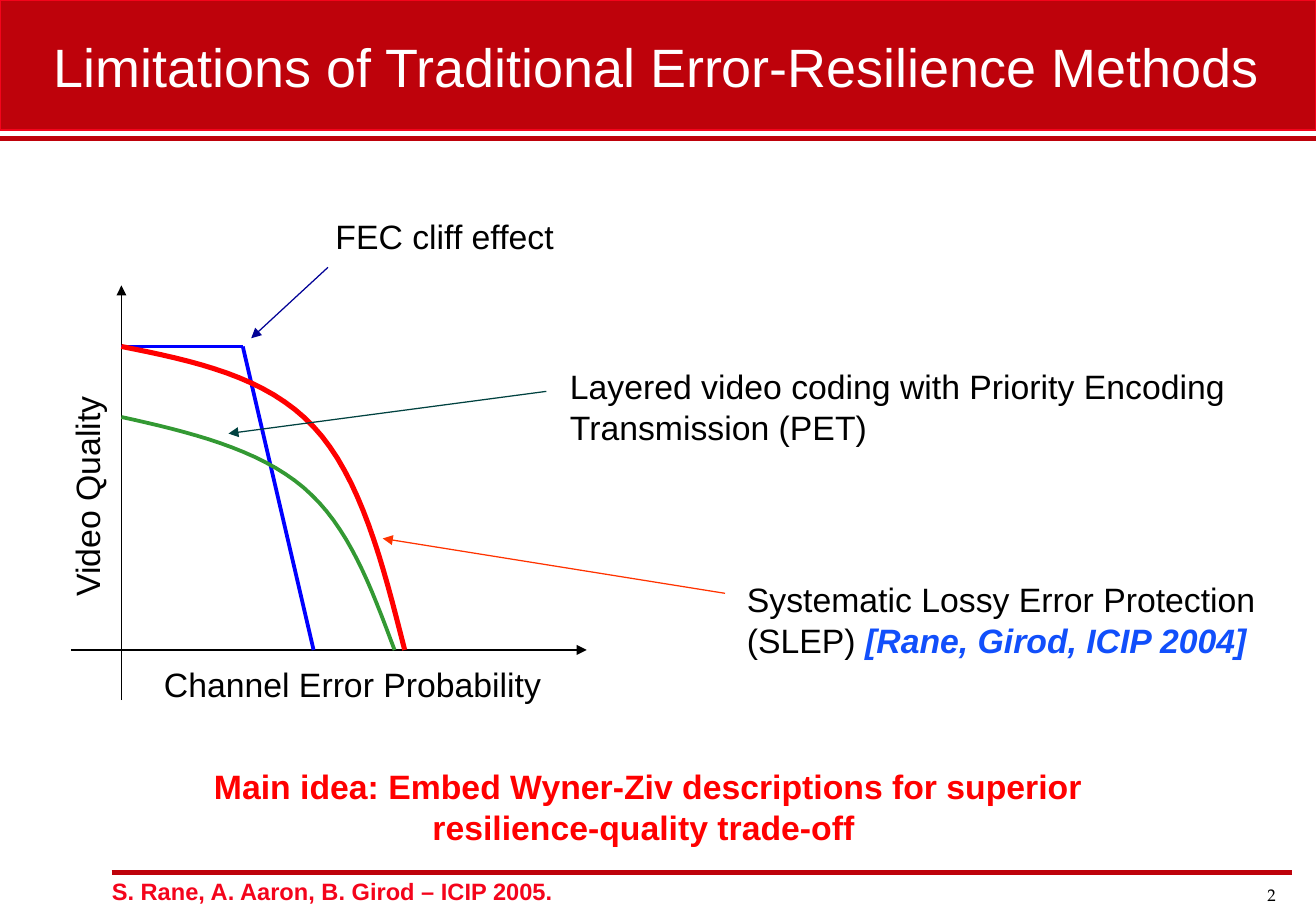
import pptx
import pptx.util
import pptx.dml.color
import pptx.enum.shapes
import pptx.enum.text
import pptx.oxml.ns
import lxml.etree

Pt = pptx.util.Pt
ALIGN = pptx.enum.text.PP_ALIGN
KIND = pptx.enum.shapes

WIDE, HIGH = 780.48, 540
LEFT, BASE = 72, 385.3  # where the axes cross
PEAK = 205.4            # best video quality

HUES = {
    "band": "BE020B", "edge": "F4041B", "white": "FFFFFF", "black": "000000",
    "fec": "0000FF", "fec_tip": "020296", "pet": "339933", "pet_tip": "004240",
    "slep": "FF0000", "slep_tip": "FF3300", "cite": "114FFB",
}


def hue(name):
    return pptx.dml.color.RGBColor.from_string(HUES[name])


def add_sub(node, tag, **attrs):
    return lxml.etree.SubElement(node, pptx.oxml.ns.qn(tag), attrs)


def style(run, size, color, face="Arial", bold=False, slant=False):
    font = run.font
    font.name, font.size = face, Pt(size)
    font.bold, font.italic = bold, slant
    font.color.rgb = hue(color)


def fill_text(shape, text, size, color, align=ALIGN.LEFT, face="Arial", bold=False):
    frame = shape.text_frame
    frame.text = text
    frame.word_wrap = False
    frame.auto_size = pptx.enum.text.MSO_AUTO_SIZE.NONE
    frame.margin_left = frame.margin_right = 0
    frame.margin_top = frame.margin_bottom = Pt(3.6)
    for para in frame.paragraphs:
        para.alignment = align
        for run in para.runs:
            style(run, size, color, face, bold)


def add_label(slide, place, text, size=20, color="black", **look):
    box = slide.shapes.add_textbox(*map(Pt, place))
    fill_text(box, text, size, color, **look)
    return box


def add_line(slide, start, end, color, width=0.75, arrow=False):
    line = slide.shapes.add_connector(
        KIND.MSO_CONNECTOR.STRAIGHT, *map(Pt, start + end))
    line.line.color.rgb = hue(color)
    line.line.width = Pt(width)
    if arrow:
        add_sub(line.line._get_or_add_ln(), "a:tailEnd", type="triangle")
    add_sub(line._element.spPr, "a:effectLst")


def bend(a, b, c, d, steps=16):
    """Points along a cubic curve, without its start."""
    for i in range(1, steps + 1):
        t = i / steps
        s = 1 - t
        yield tuple(s**3 * p + 3 * s * s * t * q + 3 * s * t * t * r + t**3 * e
                    for p, q, r, e in zip(a, b, c, d))


def add_curve(slide, knots, color, width):
    dots = [dot for i in range(0, len(knots) - 1, 3)
            for dot in bend(*knots[i:i + 4])]
    path = slide.shapes.build_freeform(*map(Pt, knots[0]))
    path.add_line_segments([(Pt(x), Pt(y)) for x, y in dots], close=False)
    curve = path.convert_to_shape()
    curve.fill.background()
    curve.line.color.rgb = hue(color)
    curve.line.width = Pt(width)
    curve.shadow.inherit = False


def add_frame(slide):
    # Banner, kept behind the title
    band = slide.shapes.add_shape(
        KIND.MSO_SHAPE.RECTANGLE, 0, 0, Pt(WIDE), Pt(77))
    band.fill.solid()
    band.fill.fore_color.rgb = hue("band")
    band.line.color.rgb = hue("edge")
    band.line.width = Pt(1)
    band.shadow.inherit = False
    slide.shapes._spTree.insert(2, band._element)

    title = slide.shapes.title
    title.left, title.top, title.width, title.height = map(Pt, (30.7, 16.2, 718, 46))
    fill_text(title, "Limitations of Traditional Error-Resilience Methods",
              32, "white", align=ALIGN.CENTER)

    # Rules and footer
    add_line(slide, (0, 82), (WIDE, 82), "band", 3)
    add_line(slide, (66.2, 517), (766.2, 517), "band", 3)
    add_label(slide, (66.3, 516.5, 660, 24), "S. Rane, A. Aaron, B. Girod – ICIP 2005.",
              14, "edge", bold=True)
    add_label(slide, (736, 520.9, 20.7, 19), "2", 10,
              align=ALIGN.RIGHT, face="TeX Gyre Pagella")


def add_plot(slide):
    # Axes
    add_line(slide, (LEFT, 415), (LEFT, 169.2), "black", arrow=True)
    add_line(slide, (42, BASE), (348, BASE), "black", arrow=True)
    add_label(slide, (97.2, 389.9, 224, 32), "Channel Error Probability",
              align=ALIGN.CENTER)
    side = add_label(slide, (-7.7, 278.3, 119, 32), "Video Quality",
                     align=ALIGN.CENTER)
    side.rotation = 270

    # Quality curves
    add_line(slide, (LEFT, PEAK), (144, PEAK), "fec", 2.25)
    add_line(slide, (144, PEAK), (186, BASE), "fec", 2.25)
    add_curve(slide, [(LEFT, 247.2), (112, 256), (153, 266), (180, 289),
                      (207, 312), (220, 348), (234, BASE)], "pet", 2.25)
    add_curve(slide, [(LEFT, PEAK), (115, 214), (158, 223), (186, 253),
                      (214, 283), (227, 334), (240, BASE)], "slep", 3)


def add_notes(slide):
    # Callouts with arrows to the curves
    add_label(slide, (199, 124.3, 130, 32), "FEC cliff effect")
    add_line(slide, (194.5, 158.5), (149, 200.5), "fec_tip", arrow=True)

    add_label(slide, (338, 213.4, 394, 55),
              "Layered video coding with Priority Encoding\nTransmission (PET)")
    add_line(slide, (324, 232), (135.5, 257), "pet_tip", arrow=True)

    slep = add_label(slide, (443, 339.7, 302, 55),
                     "Systematic Lossy Error Protection\n(SLEP) ")
    cite = slep.text_frame.paragraphs[1].add_run()
    cite.text = "[Rane, Girod, ICIP 2004]"
    style(cite, 20, "cite", bold=True, slant=True)
    add_line(slide, (430, 351.7), (227, 319.2), "slep_tip", arrow=True)

    # Main idea
    add_label(slide, (126.5, 450.4, 516, 55),
              "Main idea: Embed Wyner-Ziv descriptions for superior\n"
              "resilience-quality trade-off ",
              color="slep", align=ALIGN.CENTER, bold=True)


def main():
    deck = pptx.Presentation()
    deck.slide_width, deck.slide_height = Pt(WIDE), Pt(HIGH)
    slide = deck.slides.add_slide(deck.slide_layouts[5])
    add_frame(slide)
    add_plot(slide)
    add_notes(slide)
    deck.save("out.pptx")


if __name__ == "__main__":
    main()
